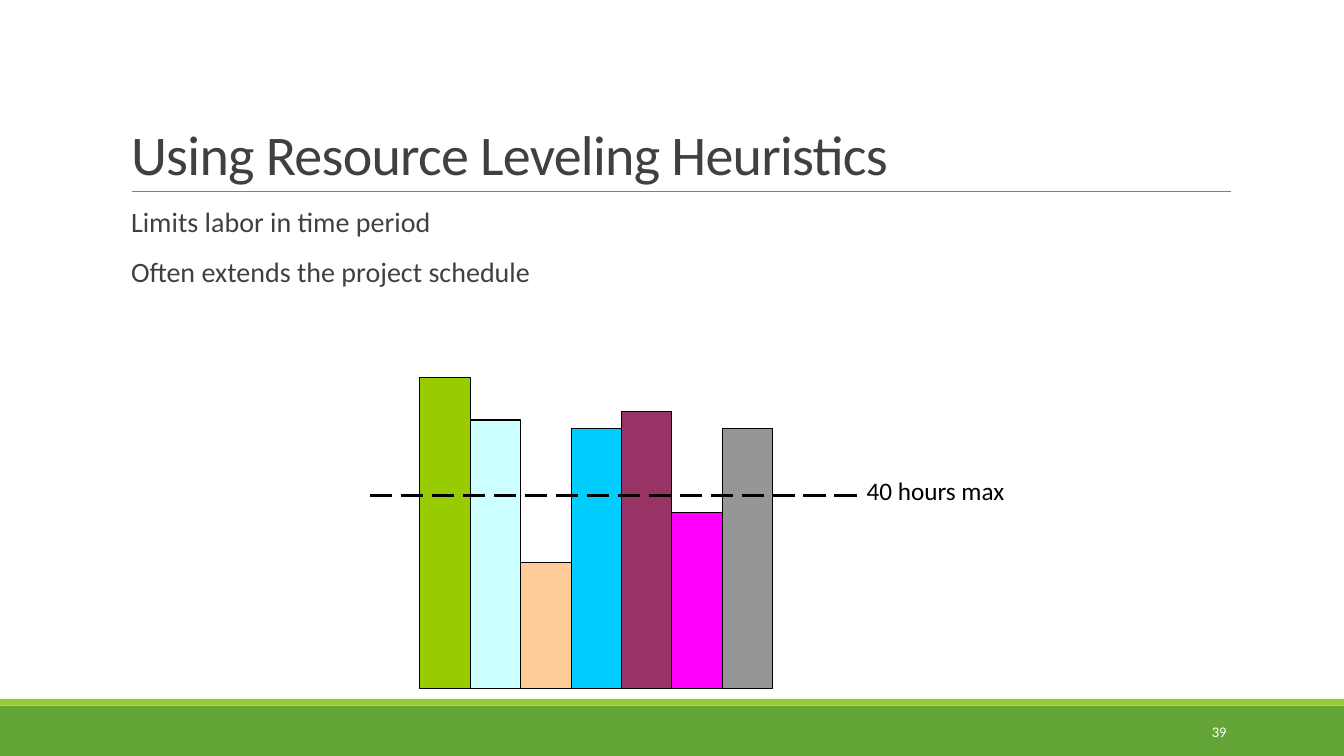
import pptx
import pptx.util
import pptx.dml.color
import pptx.enum.dml
import pptx.enum.shapes
import pptx.enum.text
import pptx.oxml.xmlchemy

WIDE, HIGH = 160, 90
CELL = pptx.util.Inches(1) // 12
FACE = "Calibri"
INK = "404040"
BARS = [(37, "99CC00"), (32, "CCFFFF"), (15, "FFCC99"), (31, "00CCFF"),
        (33, "993366"), (21, "FF00FF"), (31, "969696")]
POINTS = ["Limits labor in time period", "Often extends the project schedule"]


def grid(*cells):
    """Turn grid cells, twelve to the inch, into lengths."""
    return [pptx.util.Emu(round(cell * CELL)) for cell in cells]


def paint(target, color):
    """Give a fill or a font colour a hex value."""
    if hasattr(target, "solid"):
        target.solid()
        target = target.fore_color
    target.rgb = pptx.dml.color.RGBColor.from_string(color)


def place(shape, *cells):
    """Move and size a shape on the grid."""
    shape.left, shape.top, shape.width, shape.height = grid(*cells)


def write(para, text, size, color):
    """Add one formatted run to a paragraph."""
    run = para.add_run()
    run.text = text
    run.font.name = FACE
    run.font.size = pptx.util.Pt(size)
    paint(run.font.color, color)
    return run


def block(slide, cells, fill, edge=None):
    """Draw a filled rectangle, with an edge if asked."""
    kind = pptx.enum.shapes.MSO_SHAPE.RECTANGLE
    shape = slide.shapes.add_shape(kind, *grid(*cells))
    shape.shadow.inherit = False
    paint(shape.fill, fill)
    if edge:
        paint(shape.line.fill, edge)
        shape.line.width = pptx.util.Pt(0.75)
    else:
        shape.line.fill.background()


def rule(slide, start, end, row, color, width, dash=None):
    """Draw a level line along a grid row."""
    kind = pptx.enum.shapes.MSO_CONNECTOR.STRAIGHT
    line = slide.shapes.add_connector(kind, *grid(start, row, end, row))
    paint(line.line.fill, color)
    line.line.width = pptx.util.Pt(width)
    if dash:
        line.line.dash_style = dash
    props = line._element.spPr
    props.append(pptx.oxml.xmlchemy.OxmlElement("a:effectLst"))


def label(slide, cells, text, size, color, wrap=True):
    """Add a one-line text box and return its frame."""
    frame = slide.shapes.add_textbox(*grid(*cells)).text_frame
    frame.word_wrap = wrap
    write(frame.paragraphs[0], text, size, color)
    return frame


def title(slide, text):
    """Fill and place the title."""
    shape = slide.shapes.title
    place(shape, 14.4, 3.7, 132, 19.1)
    frame = shape.text_frame
    frame.auto_size = pptx.enum.text.MSO_AUTO_SIZE.NONE
    frame.vertical_anchor = pptx.enum.text.MSO_ANCHOR.BOTTOM
    para = frame.paragraphs[0]
    para.alignment = pptx.enum.text.PP_ALIGN.LEFT
    para.line_spacing = 0.85
    run = write(para, text, 40, INK)
    run.font._element.set("spc", "-50")


def bullet(para):
    """Give a paragraph a blank bullet and a hanging indent."""
    props = para._p.get_or_add_pPr()
    dent = round(1.2 * CELL)
    props.set("marL", str(dent))
    props.set("indent", str(-dent))
    mark = pptx.oxml.xmlchemy.OxmlElement("a:buChar")
    mark.set("char", " ")
    props.append(mark)


def points(slide, texts):
    """Fill and place the body list."""
    shape = slide.placeholders[1]
    place(shape, 14.4, 24.2, 132, 52.8)
    frame = shape.text_frame
    frame.auto_size = pptx.enum.text.MSO_AUTO_SIZE.NONE
    frame.margin_left = frame.margin_right = 0
    for index, text in enumerate(texts):
        para = frame.add_paragraph() if index else frame.paragraphs[0]
        bullet(para)
        para.line_spacing = 0.9
        para.space_before = pptx.util.Pt(12 if index else 0)
        para.space_after = pptx.util.Pt(2)
        write(para, text, 20, INK)


def bars(slide, left, base, width):
    """Stand the labor bars side by side on a base row."""
    for index, (tall, color) in enumerate(BARS):
        cells = left + index * width, base - tall, width, tall
        block(slide, cells, color, "000000")


def main():
    """Build the slide and save it."""
    deck = pptx.Presentation()
    deck.slide_width, deck.slide_height = grid(WIDE, HIGH)
    slide = deck.slides.add_slide(deck.slide_layouts[1])
    block(slide, (0, 84, WIDE, 6), "63A537")
    block(slide, (0, 83.2, WIDE, 0.8), "99CB38")
    rule(slide, 15.7, 146.5, 22.8, "808080", 0.5)
    title(slide, "Using Resource Leveling Heuristics")
    points(slide, POINTS)
    bars(slide, 50, 82, 6)
    dash = pptx.enum.dml.MSO_LINE.LONG_DASH
    rule(slide, 44, 102, 59, "000000", 2, dash)
    label(slide, (102, 56, 19, 4.8), "40 hours max", 18, "000000", False)
    number = label(slide, (130, 84.7, 17.2, 4.8), "39", 10.5, "FFFFFF")
    number.vertical_anchor = pptx.enum.text.MSO_ANCHOR.MIDDLE
    number.paragraphs[0].alignment = pptx.enum.text.PP_ALIGN.RIGHT
    deck.save("out.pptx")


if __name__ == "__main__":
    main()
